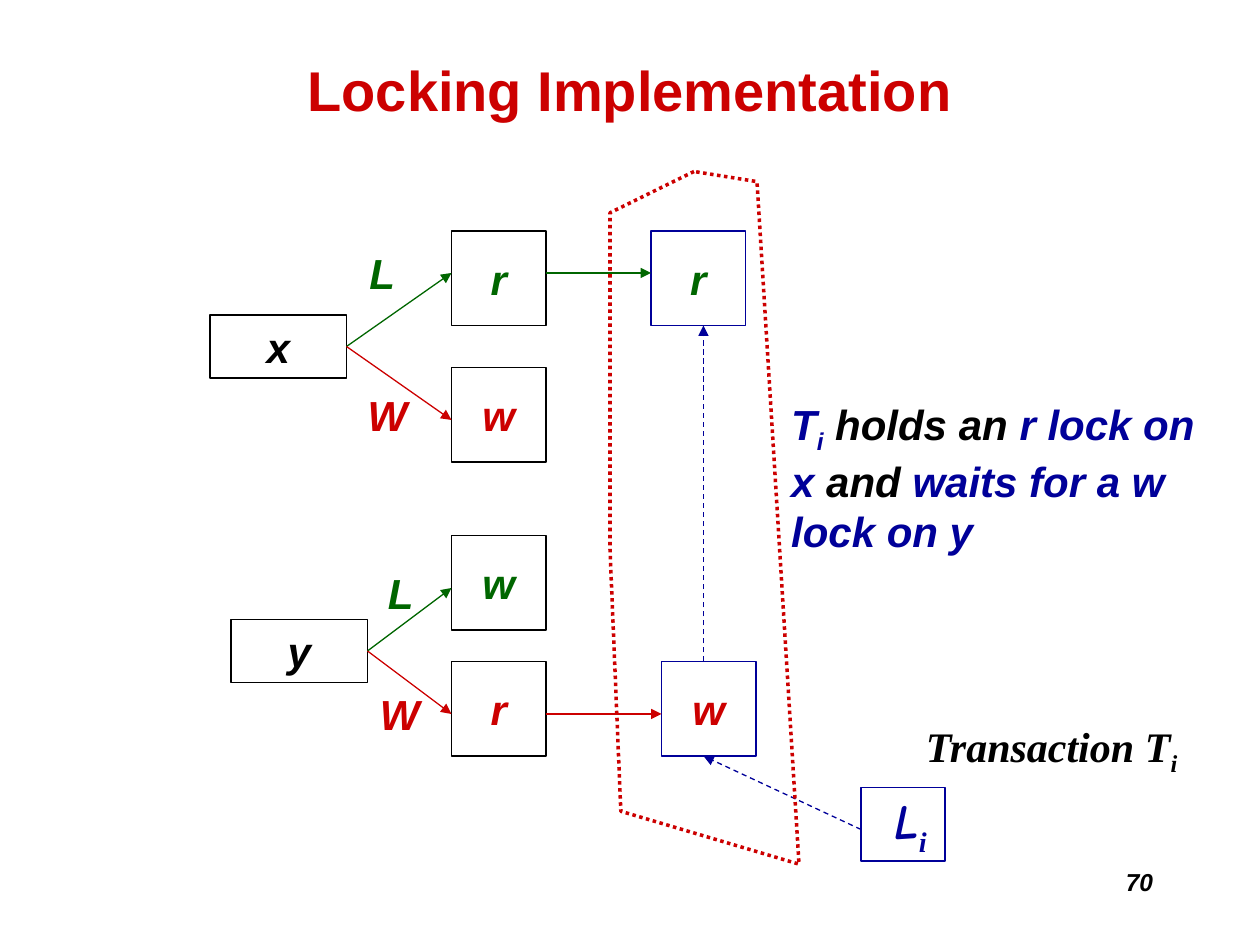
from pptx import Presentation
from pptx.dml.color import RGBColor
from pptx.enum.dml import MSO_LINE
from pptx.enum.shapes import MSO_CONNECTOR, MSO_SHAPE
from pptx.enum.text import MSO_ANCHOR, MSO_AUTO_SIZE, PP_ALIGN
from pptx.oxml.ns import qn
from pptx.util import Pt
from lxml import etree

BLACK = RGBColor(0x00, 0x00, 0x00)
WHITE = RGBColor(0xFF, 0xFF, 0xFF)
RED = RGBColor(0xCC, 0x00, 0x00)
GREEN = RGBColor(0x00, 0x66, 0x00)
BLUE = RGBColor(0x00, 0x00, 0x99)

LEFT, CENTER, RIGHT = PP_ALIGN.LEFT, PP_ALIGN.CENTER, PP_ALIGN.RIGHT
MIDDLE, TOP = MSO_ANCHOR.MIDDLE, MSO_ANCHOR.TOP
FIT_SHAPE = MSO_AUTO_SIZE.SHAPE_TO_FIT_TEXT
DASH, DOT = MSO_LINE.DASH, MSO_LINE.ROUND_DOT
STRAIGHT, RECTANGLE = MSO_CONNECTOR.STRAIGHT, MSO_SHAPE.RECTANGLE
RIGHT_SIDE = 3

LOCK_SIZE = 54          # side of a lock square
LOCK_LEFT = 258         # column of the first lock on each item


def style(font, color, size=24, name="Arial", italic=True):
    font.name, font.size = name, Pt(size)
    font.bold, font.italic = True, italic
    font.color.rgb = color


def add_run(paragraph, text, color=None, subscript=False):
    run = paragraph.add_run()
    run.text = text
    if color is not None:
        run.font.color.rgb = color
    if subscript:
        run._r.get_or_add_rPr().set("baseline", "-25000")
    return run


def add_box(slide, left, top, width, height, line_color, text="", color=BLACK):
    box = slide.shapes.add_shape(RECTANGLE, Pt(left), Pt(top), Pt(width), Pt(height))
    box.shadow.inherit = False
    box.fill.solid()
    box.fill.fore_color.rgb = WHITE
    box.line.color.rgb = line_color
    box.line.width = Pt(0.75)
    frame = box.text_frame
    frame.word_wrap = False
    frame.vertical_anchor = MIDDLE
    paragraph = frame.paragraphs[0]
    paragraph.alignment = CENTER
    style(paragraph.font, color)
    if text:
        add_run(paragraph, text)
    return box


def add_lock(slide, left, top, text, color, line_color=BLACK):
    return add_box(slide, left, top, LOCK_SIZE, LOCK_SIZE, line_color, text, color)


def add_text(slide, left, top, width, height, lines, color=BLACK, size=24,
             name="Arial", align=LEFT, wrap=False):
    """Each line is a list of (text, colour or None, subscript) runs."""
    box = slide.shapes.add_textbox(Pt(left), Pt(top), Pt(width), Pt(height))
    frame = box.text_frame
    frame.word_wrap = wrap
    frame.auto_size = FIT_SHAPE
    frame.vertical_anchor = TOP
    for index, runs in enumerate(lines):
        paragraph = frame.add_paragraph() if index else frame.paragraphs[0]
        paragraph.alignment = align
        style(paragraph.font, color, size, name)
        for run in runs:
            add_run(paragraph, *run)


def add_arrow(slide, start, end, color, dash=None, source=None):
    connector = slide.shapes.add_connector(STRAIGHT, *map(Pt, start + end))
    connector.line.color.rgb = color
    connector.line.width = Pt(0.75)
    if dash is not None:
        connector.line.dash_style = dash
    tail = etree.SubElement(connector.get_or_add_ln(), qn("a:tailEnd"))
    tail.set("type", "triangle")
    etree.SubElement(connector._element.spPr, qn("a:effectLst"))
    if source is not None:
        connector.begin_connect(source, RIGHT_SIDE)


def add_item(slide, name, left, top, branches):
    """A data item with an arrow to each of its lists of locks."""
    width, height = 78, 36
    item = add_box(slide, left, top, width, height, BLACK, name)
    start = (left + width, top + height / 2)
    for label, lock, color, lock_top, arrow_y, label_left, label_top in branches:
        add_lock(slide, LOCK_LEFT, lock_top, lock, color)
        add_arrow(slide, start, (LOCK_LEFT, arrow_y), color, source=item)
        label_width = 29 if label == "L" else 37.5
        add_text(slide, label_left, label_top, label_width, 36, [[(label,)]], color)


def add_outline(slide, points):
    (start_x, start_y), *others = [(Pt(x), Pt(y)) for x, y in points]
    builder = slide.shapes.build_freeform(start_x, start_y)
    builder.add_line_segments(others, close=True)
    outline = builder.convert_to_shape()
    outline.shadow.inherit = False
    outline.fill.background()
    outline.line.color.rgb = RED
    outline.line.width = Pt(2)
    outline.line.dash_style = DOT


def add_title(slide, text):
    title = slide.shapes.title
    title.left, title.top, title.width, title.height = map(Pt, (54, 18, 612, 66))
    title.text_frame.vertical_anchor = MIDDLE
    paragraph = title.text_frame.paragraphs[0]
    paragraph.alignment = CENTER
    style(paragraph.font, RED, 32, italic=False)
    add_run(paragraph, text)


def add_list_head(slide):
    box = add_box(slide, 492, 450, 48, 42, BLUE, color=BLUE)
    paragraph = box.text_frame.paragraphs[0]
    style(paragraph.font, BLUE, 28, "Comic Neue")
    add_run(paragraph, " ").font.size = Pt(24)
    add_run(paragraph, "L")
    add_run(paragraph, "i", subscript=True).font.name = "Times New Roman"


def main():
    presentation = Presentation()
    presentation.slide_width, presentation.slide_height = Pt(720), Pt(540)
    slide = presentation.slides.add_slide(presentation.slide_layouts[5])

    # Title and page number
    add_title(slide, "Locking Implementation")
    add_text(slide, 516, 492, 150, 36, [[("70",)]], size=14, align=RIGHT, wrap=True)

    # Items with their lock (L) and wait (W) lists
    add_item(slide, "y", 132, 354, [
        ("L", "w", GREEN, 306, 336, 214.5, 321),
        ("W", "r", RED, 378, 408, 210, 390),
    ])
    add_item(slide, "x", 120, 180, [
        ("L", "r", GREEN, 132, 156, 204, 138),
        ("W", "w", RED, 210, 240, 203, 219),
    ])

    # Locks of the transaction
    add_lock(slide, 378, 378, "w", RED, BLUE)
    add_lock(slide, 372, 132, "r", GREEN, BLUE)
    lock_right = LOCK_LEFT + LOCK_SIZE
    add_arrow(slide, (lock_right, 408), (378, 408), RED)
    add_arrow(slide, (lock_right, 156), (372, 156), GREEN)

    # Chain from the transaction's list head
    add_list_head(slide)
    add_arrow(slide, (492, 474), (402, 432), BLUE, DASH)
    add_arrow(slide, (402, 378), (402, 186), BLUE, DASH)

    # Explanation
    add_text(slide, 445, 224, 245.5, 93.5, [
        [("T",), ("i", None, True), (" holds an ", BLACK), ("r lock on",)],
        [("x",), (" and ", BLACK), ("waits for a w",)],
        [("lock on y",)],
    ], BLUE)

    # Outline around the transaction's locks
    add_outline(slide, [(396.6, 98), (348.6, 121.6), (348.6, 314),
                        (354.8, 463.6), (456.6, 493.8), (432.6, 103.8)])
    add_text(slide, 522, 408, 174, 36, [[("Transaction T",), ("i", None, True)]],
             name="Times New Roman", wrap=True)

    presentation.save("out.pptx")


if __name__ == "__main__":
    main()
